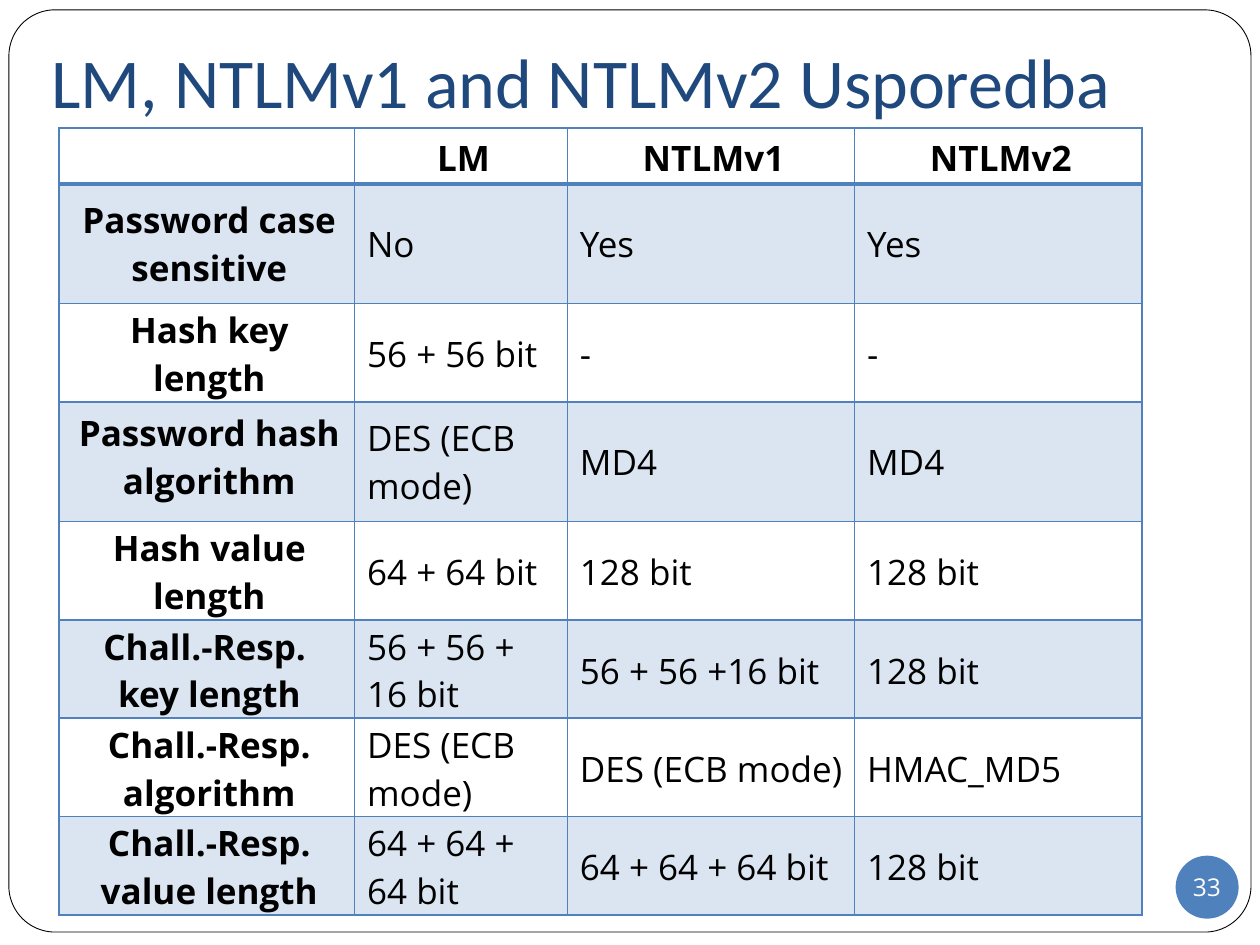
from lxml.etree import SubElement
from pptx import Presentation
from pptx.dml.color import RGBColor
from pptx.enum.shapes import MSO_SHAPE
from pptx.enum.text import MSO_ANCHOR, MSO_AUTO_SIZE, PP_ALIGN
from pptx.oxml import parse_xml
from pptx.oxml.ns import nsdecls, qn
from pptx.util import Cm, Pt

BLUE = RGBColor(0x4F, 0x81, 0xBD)
NAVY = RGBColor(0x1F, 0x49, 0x7D)
BLACK = RGBColor(0, 0, 0)
WHITE = RGBColor(0xFF, 0xFF, 0xFF)

TALL = 2.41
COLS = [5.96, 4.29, 5.79, 5.79]
ROWS = [1.13, TALL, 1.98, TALL] + [1.98] * 4
DATA = [
    ["", "LM", "NTLMv1", "NTLMv2"],
    ["Password case sensitive", "No", "Yes", "Yes"],
    ["Hash key length", "56 + 56 bit", "-", "-"],
    ["Password hash algorithm", "DES (ECB mode)", "MD4", "MD4"],
    ["Hash value length", "64 + 64 bit", "128 bit", "128 bit"],
    ["Chall.-Resp. \nkey length", "56 + 56 + 16 bit", "56 + 56 +16 bit", "128 bit"],
    ["Chall.-Resp. algorithm", "DES (ECB mode)", "DES (ECB mode)", "HMAC_MD5"],
    ["Chall.-Resp. value length", "64 + 64 + 64 bit", "64 + 64 + 64 bit", "128 bit"],
]


def add_run(para, text, size, color, font="Open Sans", bold=False):
    run = para.add_run()
    run.text = text
    run.font.size = Pt(size)
    run.font.name = font
    run.font.bold = bold
    run.font.color.rgb = color


def add_frame(slide):
    frame = slide.shapes.add_shape(
        MSO_SHAPE.ROUNDED_RECTANGLE, Cm(0.18), Cm(0.2), Cm(25.04), Cm(18.59))
    frame.adjustments[0] = 0.05
    frame.shadow.inherit = False
    frame.fill.background()
    frame.line.color.rgb = BLACK
    frame.line.width = Pt(0.5)


def set_title(slide, text):
    title = slide.shapes.title
    title.left, title.top = Cm(0.79), Cm(0)
    title.width, title.height = Cm(23.8), Cm(3.35)
    box = title.text_frame
    box.auto_size = MSO_AUTO_SIZE.NONE
    box.vertical_anchor = MSO_ANCHOR.MIDDLE
    box.margin_left, box.margin_right = Cm(0.25), Cm(0.36)
    box.margin_top, box.margin_bottom = Cm(0.13), Cm(0.25)
    para = box.paragraphs[0]
    para.alignment = PP_ALIGN.LEFT
    add_run(para, text, 40, NAVY, "Calibri")


def set_edges(cell, row):
    props = cell._tc.get_or_add_tcPr()
    for i, side in enumerate(["lnL", "lnR", "lnT", "lnB"]):
        thick = (row, side) in [(0, "lnB"), (1, "lnT")]
        props.insert(i, parse_xml(
            f'<a:{side} {nsdecls("a")} w="{Pt(2 if thick else 1)}">'
            f'<a:solidFill><a:srgbClr val="{BLUE}"/></a:solidFill></a:{side}>'))


def set_fill(cell, row):
    if row % 2 == 0:
        cell.fill.background()
        return
    cell.fill.solid()
    cell.fill.fore_color.rgb = BLUE
    tint = cell._tc.tcPr.find(".//" + qn("a:srgbClr"))
    SubElement(tint, qn("a:alpha"), val="20000")


def fill_cell(cell, row, col, text):
    set_fill(cell, row)
    set_edges(cell, row)
    cell.margin_left = cell.margin_right = Cm(0.15)
    # Two lines only just fit in the lower rows
    roomy = ROWS[row] == TALL
    cell.margin_top = Cm(0.15 if roomy else 0.06)
    cell.margin_bottom = Cm(0.15 if roomy else 0)
    # Row labels sit at the top from the third row on
    high = col == 0 and row > 1
    cell.vertical_anchor = MSO_ANCHOR.TOP if high else MSO_ANCHOR.MIDDLE
    if not text:
        return
    head = row == 0 or col == 0
    para = cell.text_frame.paragraphs[0]
    para.alignment = PP_ALIGN.CENTER if head else PP_ALIGN.LEFT
    para._p.get_or_add_pPr().set("marL", str(Cm(0.1)))
    for i, line in enumerate(text.split("\n")):
        if i:
            para.add_line_break()
        add_run(para, line, 20, BLACK, bold=head)


def add_grid(slide):
    table = slide.shapes.add_table(
        len(ROWS), len(COLS), Cm(1.19), Cm(2.58),
        Cm(sum(COLS)), Cm(sum(ROWS))).table
    table.first_row = table.horz_banding = False
    for col, width in zip(table.columns, COLS):
        col.width = Cm(width)
    for row, height in zip(table.rows, ROWS):
        row.height = Cm(height)
    for r, line in enumerate(DATA):
        for c, text in enumerate(line):
            fill_cell(table.cell(r, c), r, c, text)


def add_badge(slide, text):
    badge = slide.shapes.add_shape(
        MSO_SHAPE.OVAL, Cm(23.7), Cm(17.25), Cm(1.27), Cm(1.27))
    badge.shadow.inherit = False
    badge.fill.solid()
    badge.fill.fore_color.rgb = BLUE
    badge.line.fill.background()
    label = slide.shapes.add_textbox(Cm(24), Cm(17.58), Cm(0.66), Cm(0.61))
    box = label.text_frame
    box.word_wrap = False
    box.vertical_anchor = MSO_ANCHOR.MIDDLE
    box.margin_left = box.margin_right = box.margin_top = box.margin_bottom = 0
    para = box.paragraphs[0]
    para.alignment = PP_ALIGN.CENTER
    add_run(para, text, 14, WHITE)


def main():
    deck = Presentation()
    deck.slide_width, deck.slide_height = Cm(25.4), Cm(19.05)
    slide = deck.slides.add_slide(deck.slide_layouts[5])
    # Frame and heading
    add_frame(slide)
    set_title(slide, "LM, NTLMv1 and NTLMv2 Usporedba")
    # Comparison table
    add_grid(slide)
    # Page number
    add_badge(slide, "33")
    deck.save("out.pptx")


if __name__ == "__main__":
    main()
